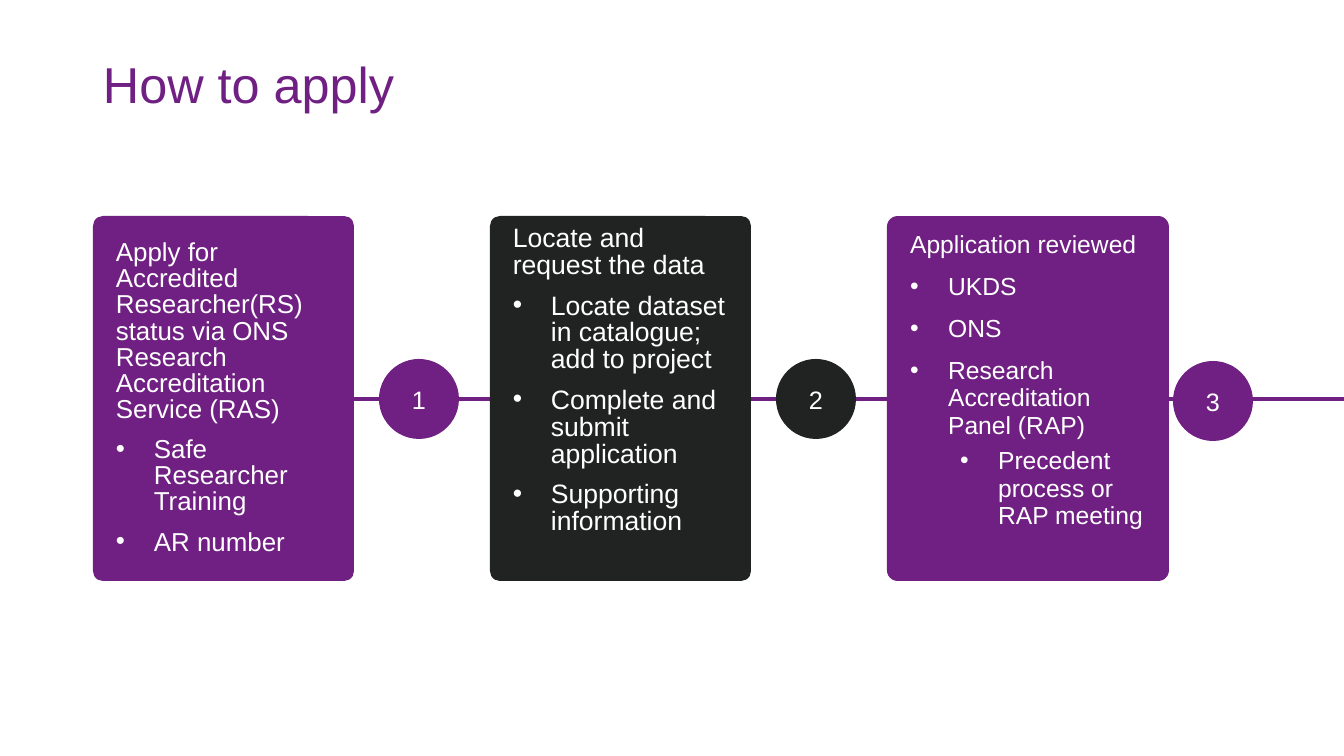
"""Builds the "How to apply" slide: three numbered steps along a line."""
from dataclasses import dataclass

from lxml.etree import SubElement
from pptx import Presentation
from pptx.dml.color import RGBColor
from pptx.enum.shapes import MSO_CONNECTOR as Connector, MSO_SHAPE as Preset
from pptx.enum.text import MSO_ANCHOR as Anchor, PP_ALIGN as Align
from pptx.oxml.ns import qn
from pptx.shapes.autoshape import Shape
from pptx.slide import Slide
from pptx.text.text import TextFrame, _Paragraph as Paragraph
from pptx.util import Emu, Pt

PX_PER_INCH = 100.8
SLIDE_WIDTH, SLIDE_HEIGHT = 1344, 756
PURPLE, BLACK, WHITE = "702082", "212322", "FFFFFF"
FONT = "Arial"
CARD_LEFT, CARD_STEP, CARD_TOP, CARD_HEIGHT = 93, 397, 216, 365
MARKER_LEFT, MARKER_SIZE = 379, 80
LINE_START, LINE_Y = 322, 399
PADDING, HANGING, LEVEL_INDENT = 20, 38, 50


@dataclass(frozen=True)
class Step:
    """One card with its numbered marker."""
    heading: str
    bullets: tuple[tuple[int, str], ...]
    color: str
    width: int
    size: float
    spacing: float
    bottom_padding: int
    marker_top: int


STEPS = (
    Step("Apply for Accredited Researcher(RS) status via ONS Research Accreditation Service (RAS)",
         ((0, "Safe Researcher Training"), (0, "AR number")),
         PURPLE, 261, 18.5, 0.84, PADDING, 359),
    Step("Locate and request the data",
         ((0, "Locate dataset in catalogue; add to project"),
          (0, "Complete and submit application"),
          (0, "Supporting information")),
         BLACK, 261, 19, 0.84, 55, 359),
    Step("Application reviewed",
         ((0, "UKDS"), (0, "ONS"), (0, "Research Accreditation Panel (RAP)"),
          (1, "Precedent process or RAP meeting")),
         PURPLE, 282, 17.6, 0.94, 55, 361),
)


def px(length: int) -> Emu:
    """Turn pixels into EMU."""
    return Emu(round(length * 914400 / PX_PER_INCH))


def rgb(color: str) -> RGBColor:
    """Turn a hex string into a colour."""
    return RGBColor.from_string(color)


def write(paragraph: Paragraph, text: str, size: float, color: str) -> None:
    """Add one formatted run to a paragraph."""
    run = paragraph.add_run()
    run.text = text
    run.font.name = FONT
    run.font.size = Pt(size)
    run.font.color.rgb = rgb(color)


def add_bullet(paragraph: Paragraph, level: int) -> None:
    """Give a paragraph a hanging bullet."""
    paragraph.level = level
    properties = paragraph._p.get_or_add_pPr()
    properties.set("marL", str(px(HANGING + LEVEL_INDENT * level)))
    properties.set("indent", str(-px(HANGING)))
    SubElement(properties, qn("a:buFont"), typeface=FONT)
    SubElement(properties, qn("a:buChar"), char="•")


def set_padding(frame: TextFrame, side: int, bottom: int) -> None:
    """Set the inner margins of a text frame."""
    frame.margin_left = frame.margin_right = frame.margin_top = px(side)
    frame.margin_bottom = px(bottom)


def add_block(slide: Slide, preset: Preset, left: int, top: int,
              width: int, height: int, color: str) -> Shape:
    """Add a flat filled shape without outline."""
    block = slide.shapes.add_shape(preset, px(left), px(top), px(width), px(height))
    block.shadow.inherit = False
    block.fill.solid()
    block.fill.fore_color.rgb = rgb(color)
    block.line.fill.background()
    block.text_frame.word_wrap = True
    block.text_frame.vertical_anchor = Anchor.MIDDLE
    return block


def add_title(slide: Slide, text: str) -> None:
    """Add the slide title."""
    title = slide.shapes.add_textbox(px(93), px(57), px(1100), px(60)).text_frame
    title.word_wrap = True
    title.vertical_anchor = Anchor.MIDDLE
    title.paragraphs[0].line_spacing = 0.9
    write(title.paragraphs[0], text, 36, PURPLE)


def add_timeline(slide: Slide) -> None:
    """Add the line that joins the steps."""
    timeline = slide.shapes.add_connector(
        Connector.STRAIGHT, px(LINE_START), px(LINE_Y), px(SLIDE_WIDTH), px(LINE_Y))
    timeline.line.color.rgb = rgb(PURPLE)
    timeline.line.width = Pt(2.25)
    SubElement(timeline._element.spPr, qn("a:effectLst"))


def add_marker(slide: Slide, number: int, step: Step) -> None:
    """Add the numbered circle of a step."""
    left = MARKER_LEFT + CARD_STEP * (number - 1)
    marker = add_block(slide, Preset.OVAL, left, step.marker_top,
                       MARKER_SIZE, MARKER_SIZE, step.color)
    label = marker.text_frame.paragraphs[0]
    label.alignment = Align.CENTER
    write(label, str(number), 18, WHITE)


def add_card(slide: Slide, number: int, step: Step) -> None:
    """Add the card of a step with its heading and bullets."""
    left = CARD_LEFT + CARD_STEP * (number - 1)
    card = add_block(slide, Preset.ROUNDED_RECTANGLE, left, CARD_TOP,
                     step.width, CARD_HEIGHT, step.color)
    card.adjustments[0] = 0.038
    frame = card.text_frame
    set_padding(frame, PADDING, step.bottom_padding)
    heading = frame.paragraphs[0]
    heading.alignment = Align.LEFT
    heading.line_spacing = step.spacing
    write(heading, step.heading, step.size, WHITE)
    for level, text in step.bullets:
        item = frame.add_paragraph()
        add_bullet(item, level)
        item.alignment = Align.LEFT
        item.line_spacing = step.spacing
        item.space_before = Pt(5 if level else 10)
        write(item, text, step.size, WHITE)


def main() -> None:
    """Build and save the slide."""
    deck = Presentation()
    deck.slide_width, deck.slide_height = px(SLIDE_WIDTH), px(SLIDE_HEIGHT)
    slide = deck.slides.add_slide(deck.slide_layouts[6])
    add_timeline(slide)
    add_title(slide, "How to apply")
    for number, step in enumerate(STEPS, start=1):
        add_marker(slide, number, step)
        add_card(slide, number, step)
    deck.save("out.pptx")


if __name__ == "__main__":
    main()
